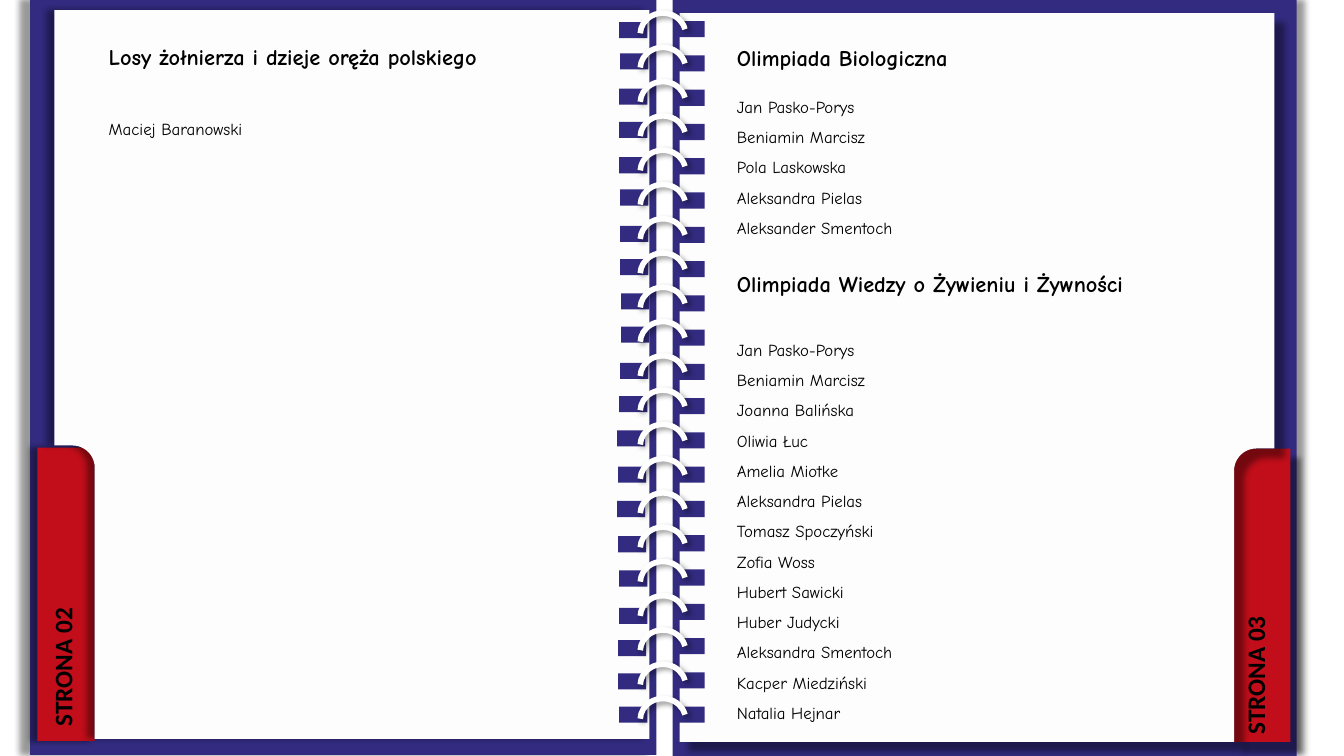
"""Build a spiral notebook spread listing school olympiad participants."""
from math import cos, pi, sin

from lxml import etree
from pptx import Presentation
from pptx.dml.color import RGBColor
from pptx.enum.shapes import MSO_SHAPE
from pptx.enum.text import PP_ALIGN
from pptx.oxml.ns import qn
from pptx.util import Inches, Pt

RECTANGLE, ARC = MSO_SHAPE.RECTANGLE, MSO_SHAPE.ARC
CENTER = PP_ALIGN.CENTER
NAVY = RGBColor(0x32, 0x2B, 0x80)
RED = RGBColor(0xC1, 0x0E, 0x1A)
PAPER = RGBColor(0xFD, 0xFD, 0xFD)
WHITE = RGBColor(0xFF, 0xFF, 0xFF)
BLACK = RGBColor(0, 0, 0)

SECTIONS = [
    ("Losy żołnierza i dzieje oręża polskiego", 0.98, 0.38, 1.03,
     ["Maciej Baranowski"]),
    ("Olimpiada Biologiczna", 7.21, 0.39, 0.81,
     ["Jan Pasko-Porys", "Beniamin Marcisz", "Pola Laskowska",
      "Aleksandra Pielas", "Aleksander Smentoch"]),
    ("Olimpiada Wiedzy o Żywieniu i Żywności", 7.21, 2.63, 3.22,
     ["Jan Pasko-Porys", "Beniamin Marcisz", "Joanna Balińska", "Oliwia Łuc",
      "Amelia Miotke", "Aleksandra Pielas", "Tomasz Spoczyński", "Zofia Woss",
      "Hubert Sawicki", "Huber Judycki", "Aleksandra Smentoch",
      "Kacper Miedziński", "Natalia Hejnar"]),
]
COVERS = [(0.3, -0.01, 6.21, 7, 180), (6.67, 0, 6.19, 6, 0)]
TABS = [
    ("STRONA 03", 12.23, 4.45, 12.25, 5.99, 10, 45),
    ("STRONA 02", 0.37, 4.44, 0.42, 5.91, 5, 180),
]
LEFT_HOLES = [
    (6.14, 0.22), (6.15, 0.53), (6.14, 0.88), (6.14, 1.21), (6.14, 1.56),
    (6.15, 1.88), (6.15, 2.24), (6.15, 2.57), (6.16, 2.91), (6.16, 3.24),
    (6.15, 3.6), (6.14, 3.93), (6.12, 4.27), (6.13, 4.63), (6.12, 4.97),
    (6.13, 5.32), (6.14, 5.66), (6.14, 6.03), (6.13, 6.35), (6.13, 6.68),
    (6.14, 7.01),
]
RING_PITCH = 0.34
MIRROR_SUM, LEFT_RISE = 13.18, 0.03
NOTCH_X, NOTCH_Y, NOTCH_RADIUS = 12.46, 4.67, 0.22
NOTCH_STEPS = 12

presentation = Presentation()
presentation.slide_width = Inches(13.33)
presentation.slide_height = Inches(7.5)
slide = presentation.slides.add_slide(presentation.slide_layouts[6])


def cast_shadow(shape, distance, direction):
    shape.shadow.inherit = False
    effects = shape._element.spPr.find(qn("a:effectLst"))
    shadow = etree.SubElement(
        effects, qn("a:outerShdw"), blurRad=str(Pt(4)), dist=str(Pt(distance)),
        dir=str(direction * 60000), algn="ctr", rotWithShape="0")
    color = etree.SubElement(shadow, qn("a:srgbClr"), val="000000")
    etree.SubElement(color, qn("a:alpha"), val="40000")


def paint(shape, color):
    shape.fill.solid()
    shape.fill.fore_color.rgb = color
    shape.line.fill.background()
    shape.shadow.inherit = False
    return shape


def add_block(left, top, width, height, color):
    block = slide.shapes.add_shape(
        RECTANGLE, Inches(left), Inches(top), Inches(width), Inches(height))
    return paint(block, color)


def add_text(lines, left, top, width, height, font_name, size, bold,
             spacing=None, align=None):
    box = slide.shapes.add_textbox(
        Inches(left), Inches(top), Inches(width), Inches(height))
    frame = box.text_frame
    frame.word_wrap = True
    frame.text = "\n".join(lines)
    for paragraph in frame.paragraphs:
        paragraph.line_spacing = spacing
        paragraph.alignment = align
        paragraph.font.name = font_name
        paragraph.font.size = Pt(size)
        paragraph.font.bold = bold
        paragraph.font.color.rgb = BLACK
    return frame


def page_outline(mirrored):
    turns = [pi / 2 * step / NOTCH_STEPS for step in range(NOTCH_STEPS + 1)]
    notch = [(NOTCH_X - NOTCH_RADIUS * sin(turn),
              NOTCH_Y - NOTCH_RADIUS * cos(turn)) for turn in turns]
    outline = [(6.74, 0.13), (12.64, 0.13), (12.64, 4.45), *notch,
               (12.24, 7.36), (6.74, 7.36)]
    if mirrored:
        return [(MIRROR_SUM - x, y - LEFT_RISE) for x, y in outline]
    return outline


def add_page(mirrored, distance, direction):
    points = [(Inches(x), Inches(y)) for x, y in page_outline(mirrored)]
    builder = slide.shapes.build_freeform(*points[0])
    builder.add_line_segments(points[1:], close=True)
    cast_shadow(paint(builder.convert_to_shape(), PAPER), distance, direction)


def add_ring(top):
    ring = slide.shapes.add_shape(
        ARC, Inches(6.35), Inches(top), Inches(0.45), Inches(0.42))
    ring.adjustments[0] = 109.5
    ring.adjustments[1] = 208.26
    ring.fill.background()
    ring.line.color.rgb = WHITE
    ring.line.width = Pt(4)
    cast_shadow(ring, 3, 45)


for left, top, width, distance, direction in COVERS:
    cast_shadow(add_block(left, top, width, 7.5, NAVY), distance, direction)

for label, left, top, label_left, label_top, distance, direction in TABS:
    tab = add_block(left, top, 0.57, 2.91, RED)
    cast_shadow(tab, distance, direction)
    add_page(left < 6, distance, direction)
    label_frame = add_text([label], label_left, label_top, 0.5, 1.42,
                           "Calibri", 18, True, align=CENTER)
    label_frame._txBody.bodyPr.set("vert", "vert270")

for left, top in LEFT_HOLES:
    add_block(left, top, 0.28, 0.16, NAVY)
for index in range(len(LEFT_HOLES)):
    add_block(6.71, 0.21 + index * RING_PITCH, 0.28, 0.16, NAVY)
    add_ring(0.13 + index * RING_PITCH)

for title, left, title_top, names_top, names in SECTIONS:
    add_text([title], left, title_top, 4.95, 0.37, "Comic Neue", 16, True)
    add_text(names, left, names_top, 5.43, 0.07 + 0.3 * len(names),
             "Comic Neue", 12, False, spacing=1.5)

presentation.save("out.pptx")
